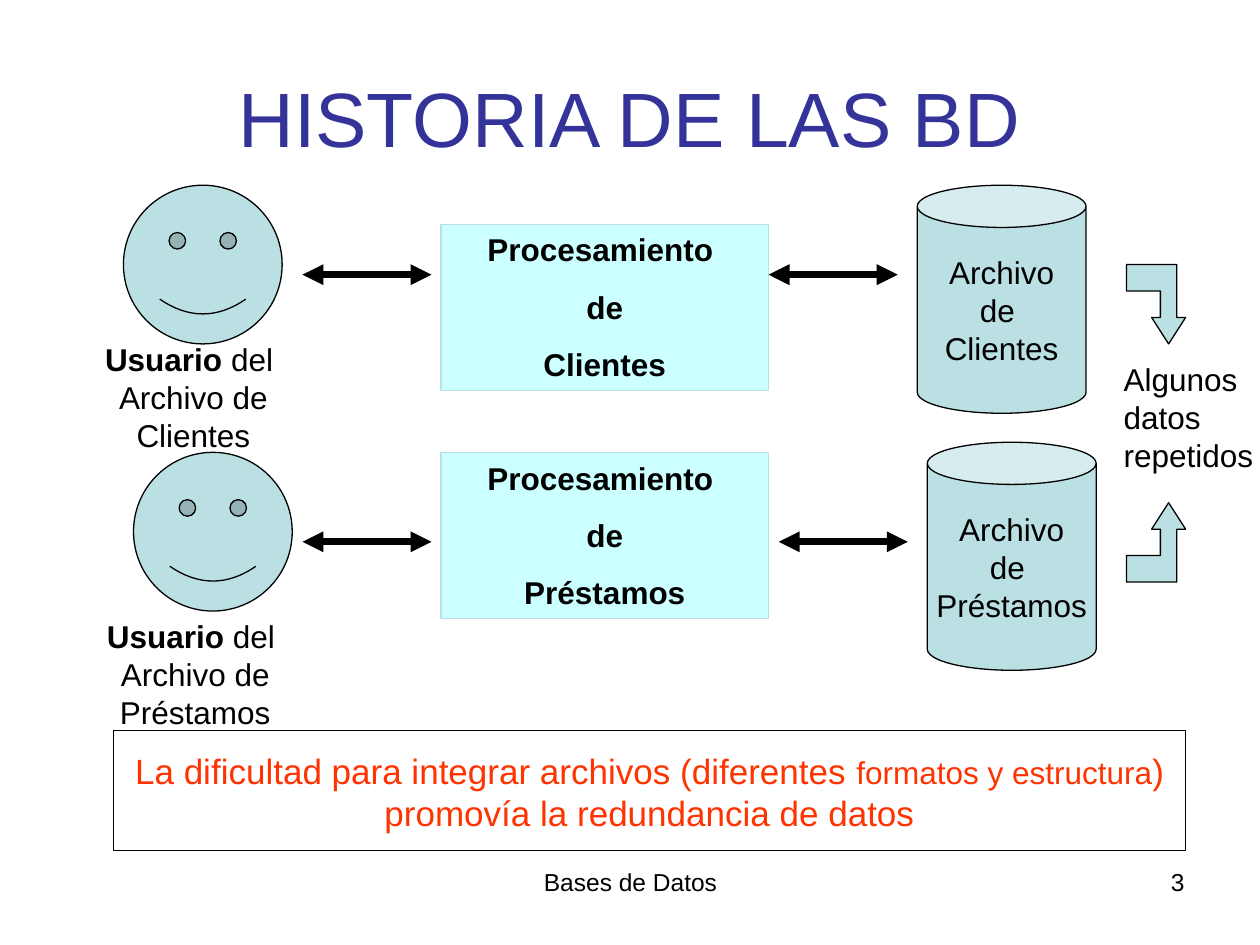
"""Build the slide on the history of databases: two separate file systems."""
from dataclasses import dataclass
from typing import NamedTuple

from lxml import etree
from pptx import Presentation
from pptx.dml.color import RGBColor
from pptx.enum.shapes import MSO_CONNECTOR, MSO_SHAPE
from pptx.enum.text import MSO_ANCHOR, PP_ALIGN
from pptx.oxml.ns import qn
from pptx.util import Inches, Pt

BLACK = RGBColor(0x00, 0x00, 0x00)
INDIGO = RGBColor(0x33, 0x33, 0x99)
ORANGE = RGBColor(0xFF, 0x33, 0x00)
CYAN = RGBColor(0xCC, 0xFF, 0xFF)
TEAL = RGBColor(0xBB, 0xE0, 0xE3)
LEFT, CENTER, RIGHT = PP_ALIGN.LEFT, PP_ALIGN.CENTER, PP_ALIGN.RIGHT
TOP, MIDDLE = MSO_ANCHOR.TOP, MSO_ANCHOR.MIDDLE
RECTANGLE, CAN, FACE = MSO_SHAPE.RECTANGLE, MSO_SHAPE.CAN, MSO_SHAPE.SMILEY_FACE
STRAIGHT = MSO_CONNECTOR.STRAIGHT
COLUMNS, ROWS = 100, 75
CELL = Inches(10) / COLUMNS
BENT_ARROW = ((0, 0), (4, 0), (4, 4.2), (4.7, 4.2), (3.35, 6.3),
              (2, 4.2), (2.7, 4.2), (2.7, 2.1), (0, 2.1))


class Box(NamedTuple):
    """Left, top, width and height in grid cells."""
    left: float
    top: float
    width: float
    height: float


class Run(NamedTuple):
    """A piece of text with its size and weight."""
    text: str
    size: float = 18
    bold: bool = False


@dataclass
class FileSystem:
    """A user, a process and a file, with the places that vary between rows."""
    topic: str
    face: Box
    label: Box
    process: Box
    file: Box
    arrow_row: float
    file_arrow: float


SYSTEMS = (
    FileSystem("Clientes", Box(9.8, 14.7, 12.6, 12.6), Box(3.6, 26.5, 23.5, 7),
               Box(35, 17.8, 26, 13.2), Box(72.8, 14.7, 13.4, 18.1), 21.8, 61),
    FileSystem("Préstamos", Box(10.6, 35.9, 12.6, 12.6), Box(2.3, 48.5, 26.4, 7),
               Box(35, 35.9, 26, 13.2), Box(73.6, 35.1, 13.4, 18.1), 43, 61.8),
)


def cells(count: float) -> int:
    """Turn grid cells into a length."""
    return round(count * CELL)


def write(shape, *paragraphs: list[Run], color=BLACK, align=CENTER,
          anchor=TOP, wrap=True, before=0) -> None:
    """Fill a shape with paragraphs of runs."""
    frame = shape.text_frame
    frame.word_wrap = wrap
    frame.vertical_anchor = anchor
    for index, runs in enumerate(paragraphs):
        paragraph = frame.paragraphs[0] if index == 0 else frame.add_paragraph()
        paragraph.alignment = align
        paragraph.space_before = Pt(before)
        for piece in runs:
            run = paragraph.add_run()
            run.text = piece.text
            run.font.name = "Arial"
            run.font.size = Pt(piece.size)
            run.font.bold = piece.bold
            run.font.color.rgb = color


def add_text(slide, box: Box, *paragraphs: list[Run], **text_format) -> None:
    """Add a text box."""
    write(slide.shapes.add_textbox(*map(cells, box)), *paragraphs, **text_format)


def paint(shape, fill: RGBColor | None, line: RGBColor) -> None:
    """Set the fill and outline of a shape."""
    shape.shadow.inherit = False
    if fill is None:
        shape.fill.background()
    else:
        shape.fill.solid()
        shape.fill.fore_color.rgb = fill
    shape.line.color.rgb = line
    shape.line.width = Pt(0.75)


def add_preset(slide, kind, box: Box, fill: RGBColor | None = TEAL,
               line: RGBColor = BLACK):
    """Add a painted preset shape."""
    shape = slide.shapes.add_shape(kind, *map(cells, box))
    paint(shape, fill, line)
    return shape


def add_double_arrow(slide, left: float, row: float) -> None:
    """Add a horizontal line with a head at each end."""
    arrow = slide.shapes.add_connector(
        STRAIGHT, cells(left), cells(row), cells(left + 10.25), cells(row))
    arrow.line.color.rgb = BLACK
    arrow.line.width = Pt(4)
    outline = arrow.line._get_or_add_ln()
    for end in ("a:headEnd", "a:tailEnd"):
        etree.SubElement(outline, qn(end), type="triangle")
    etree.SubElement(arrow._element.spPr, qn("a:effectLst"))


def add_bent_arrow(slide, left: float, edge: float, direction: int) -> None:
    """Add a bent arrow that points down (1) or up (-1) from its edge row."""
    points = [(cells(left + x), cells(edge + direction * y)) for x, y in BENT_ARROW]
    builder = slide.shapes.build_freeform(*points[0])
    builder.add_line_segments(points[1:], close=True)
    paint(builder.convert_to_shape(), TEAL, BLACK)


def add_system(slide, system: FileSystem) -> None:
    """Draw one row: user, process and file, joined by arrows."""
    process = add_preset(slide, RECTANGLE, system.process, CYAN, TEAL)
    write(process, *([Run(word, bold=True)]
                     for word in ("Procesamiento ", "de", system.topic)), before=11.2)
    write(add_preset(slide, CAN, system.file),
          *([Run(word)] for word in ("Archivo", "de ", system.topic)),
          anchor=MIDDLE, wrap=False)
    face = add_preset(slide, FACE, system.face)
    face.adjustments[0] = 0.0465
    add_text(slide, system.label, [Run("Usuario", bold=True), Run(" del ")],
             [Run(f"Archivo de {system.topic}")], wrap=False)
    for left in (24, system.file_arrow):
        add_double_arrow(slide, left, system.arrow_row)


def main() -> None:
    """Build and save the slide."""
    deck = Presentation()
    deck.slide_width, deck.slide_height = cells(COLUMNS), cells(ROWS)
    slide = deck.slides.add_slide(deck.slide_layouts[6])
    add_text(slide, Box(34.2, 68.3, 31.7, 5.2), [Run("Bases de Datos", 14)])
    add_text(slide, Box(71.7, 68.3, 23.3, 5.2), [Run("3", 14)], align=RIGHT)
    add_text(slide, Box(5, 3, 90, 12.5), [Run("HISTORIA DE LAS BD", 44)],
             color=INDIGO, anchor=MIDDLE)
    for system in SYSTEMS:
        add_system(slide, system)
    add_text(slide, Box(9, 59, 85.1, 7.7),
             [Run("La dificultad para integrar archivos (diferentes ", 20),
              Run("formatos y estructura"),
              Run(") promovía la redundancia de datos", 20)], color=ORANGE)
    add_preset(slide, RECTANGLE, Box(9, 58, 85.1, 9.5), None)
    add_text(slide, Box(88.2, 28.1, 14.6, 10), [Run("Algunos datos repetidos")],
             align=LEFT, before=11.2)
    for edge, direction in ((46.2, -1), (21, 1)):
        add_bent_arrow(slide, 89.4, edge, direction)
    deck.save("out.pptx")


if __name__ == "__main__":
    main()
